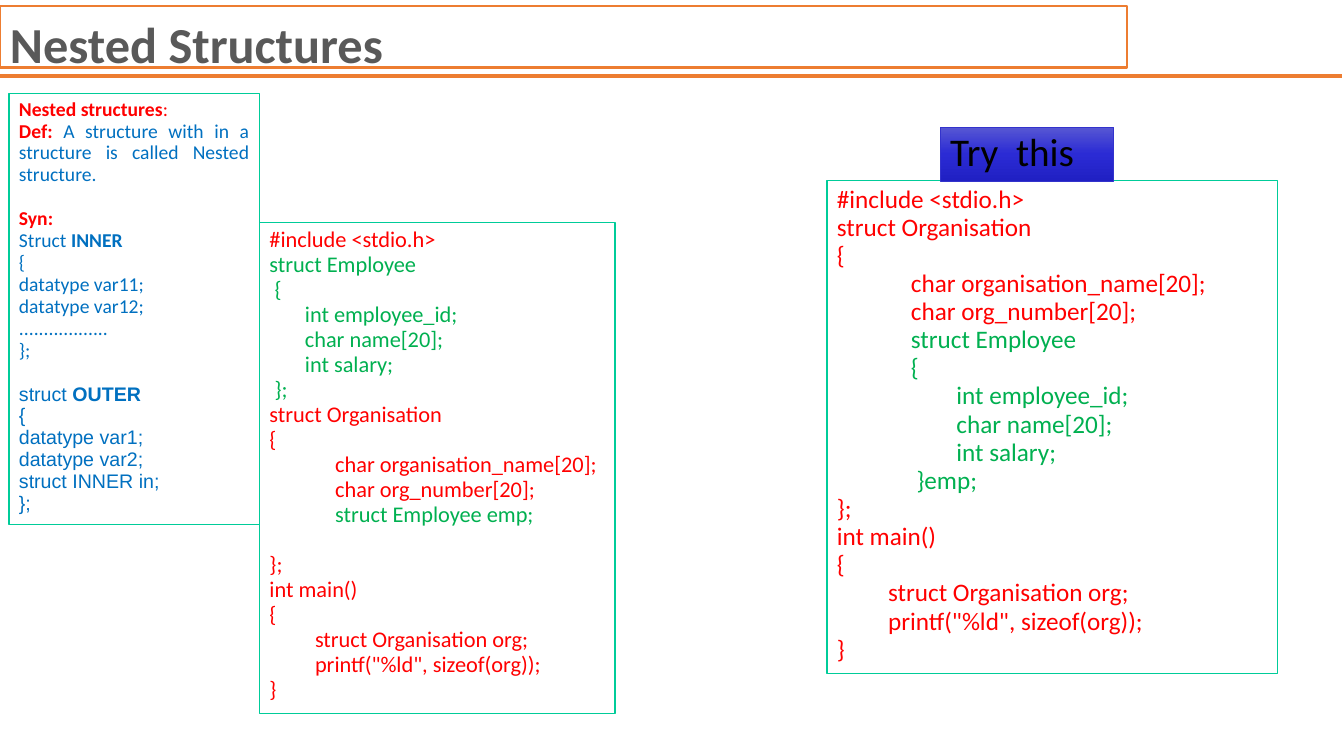
"""Build the Nested Structures slide with its syntax notes and two code panels."""
import copy
from dataclasses import dataclass
from typing import Any

import pptx
import pptx.dml.color
import pptx.enum.shapes
import pptx.enum.text
import pptx.oxml
import pptx.oxml.ns
import pptx.util

Pt = pptx.util.Pt
ALIGN = pptx.enum.text.PP_ALIGN
COLORS = {
    "orange": "ED7D31", "gray": "595959", "teal": "00CC99", "white": "FFFFFF",
    "red": "FF0000", "blue": "0070C0", "green": "00B050", "black": "000000",
    "indigo": "3333CC", "light indigo": "5757D3", "mid indigo": "2B2BD4",
    "deep indigo": "2020C3",
}
SPACE_WIDTH = 0.226
LINE_SPACING = 0.93
LINE_HEIGHT = 1.13


@dataclass(frozen=True)
class Span:
    text: str
    color: str
    bold: bool = False
    font: str = "Calibri"


@dataclass(frozen=True)
class Line:
    spans: tuple[Span, ...]
    columns: int = 0
    blank_before: bool = False


@dataclass(frozen=True)
class Panel:
    left: float
    top: float
    width: float
    height: float
    size: float
    lines: list[Line]
    border: str = "teal"
    border_width: float = 1
    fill: tuple[str, ...] = ("white",)
    align: Any = ALIGN.LEFT
    spacing: float = LINE_SPACING
    inset_top: float = 3.6


def rgb(name: str) -> pptx.dml.color.RGBColor:
    return pptx.dml.color.RGBColor.from_string(COLORS[name])


def apply(target: Any, values: dict[str, Any]) -> None:
    for name, value in values.items():
        setattr(target, name, value)


def code(text: str, color: str, columns: int = 0, blank_before: bool = False) -> Line:
    return Line((Span(text, color),), columns, blank_before)


def block(text: str, color: str, columns: int = 0) -> list[Line]:
    return [code(row, color, columns) for row in text.split("\n")]


def syntax(keyword: str, name: str, body: str, font: str, blank_before: bool) -> list[Line]:
    heading = Line((Span(keyword, "blue", font=font), Span(name, "blue", True, font)),
                   blank_before=blank_before)
    return [heading] + [Line((Span(row, "blue", font=font),)) for row in body.split("\n")]


def fill_shape(shape: Any, names: tuple[str, ...]) -> None:
    fill = shape.fill
    if not names:
        fill.background()
    elif len(names) == 1:
        fill.solid()
        fill.fore_color.rgb = rgb(names[0])
    else:
        fill.gradient()
        fill.gradient_angle = 270
        stops = shape._element.spPr.find(".//" + pptx.oxml.ns.qn("a:gsLst"))
        for _ in names[2:]:
            stops.append(copy.deepcopy(stops[0]))
        for index, (stop, name) in enumerate(zip(fill.gradient_stops, names)):
            stop.position = index / (len(names) - 1)
            stop.color.rgb = rgb(name)


def write_line(paragraph: Any, line: Line, panel: Panel) -> None:
    gap = panel.size * LINE_HEIGHT if line.blank_before else 0
    apply(paragraph, {"alignment": panel.align, "line_spacing": panel.spacing,
                      "space_before": Pt(gap), "space_after": Pt(0)})
    indent = Pt(line.columns * panel.size * SPACE_WIDTH)
    paragraph._p.get_or_add_pPr().set("marL", str(int(indent)))
    for span in line.spans:
        run = paragraph.add_run()
        run.text = span.text
        apply(run.font, {"name": span.font, "size": Pt(panel.size), "bold": span.bold})
        run.font.color.rgb = rgb(span.color)


def draw_panel(slide: Any, panel: Panel) -> None:
    shape = slide.shapes.add_shape(
        pptx.enum.shapes.MSO_SHAPE.RECTANGLE,
        Pt(panel.left), Pt(panel.top), Pt(panel.width), Pt(panel.height))
    shape.shadow.inherit = False
    fill_shape(shape, panel.fill)
    shape.line.color.rgb = rgb(panel.border)
    shape.line.width = Pt(panel.border_width)
    frame = shape.text_frame
    apply(frame, {"word_wrap": True, "vertical_anchor": pptx.enum.text.MSO_ANCHOR.TOP,
                  "margin_left": Pt(7.2), "margin_right": Pt(7.2),
                  "margin_top": Pt(panel.inset_top), "margin_bottom": Pt(3.6)})
    for index, line in enumerate(panel.lines):
        paragraph = frame.add_paragraph() if index else frame.paragraphs[0]
        write_line(paragraph, line, panel)


def draw_rule(slide: Any) -> None:
    rule = slide.shapes.add_connector(
        pptx.enum.shapes.MSO_CONNECTOR.STRAIGHT, Pt(0), Pt(54.4), Pt(959), Pt(54.4))
    rule.line.color.rgb = rgb("orange")
    rule.line.width = Pt(3)
    rule._element.spPr.append(pptx.oxml.parse_xml(
        f"<a:effectLst {pptx.oxml.ns.nsdecls('a')}/>"))


FIELDS = "int employee_id;\nchar name[20];\nint salary;"
NAMES = "char organisation_name[20];\nchar org_number[20];"
MAIN = (block("int main()\n{", "red")
        + block('struct Organisation org;\nprintf("%ld", sizeof(org));', "red", 9)
        + block("}", "red"))
INCLUDE = block("#include <stdio.h>", "red")
ORGANISATION = block("struct Organisation\n{", "red") + block(NAMES, "red", 13)

NOTES = [
    Line((Span("Nested structures", "red", True), Span(":", "red"))),
    Line((Span("Def: ", "red", True),
          Span("A structure with in a structure is called Nested structure.", "blue"))),
    Line((Span("Syn:", "red", True),), blank_before=True),
    *syntax("Struct ", "INNER",
            "{\ndatatype var11;\ndatatype var12;\n..................\n};", "Calibri", False),
    *syntax("struct ", "OUTER",
            "{\ndatatype var1;\ndatatype var2;\nstruct INNER in;\n};", "Arial", True),
]
SEPARATE = [
    *INCLUDE, code("struct Employee", "green"), code("{", "green", 1),
    *block(FIELDS, "green", 7), code("};", "green", 1), *ORGANISATION,
    code("struct Employee emp;", "green", 13),
    code("};", "red", blank_before=True), *MAIN,
]
EMBEDDED = [
    *INCLUDE, *ORGANISATION, *block("struct Employee\n{", "green", 13),
    *block(FIELDS, "green", 21), code("}emp;", "green", 14), code("};", "red"), *MAIN,
]
PANELS = [
    Panel(0, 4.3, 805.7, 44, 36, [Line((Span("Nested Structures", "gray", True),))],
          "orange", 1.5, (), spacing=1.0, inset_top=5),
    Panel(6.5, 67, 178.8, 307.5, 14, NOTES, align=ALIGN.JUSTIFY),
    Panel(185.5, 159, 254, 350.8, 16, SEPARATE),
    Panel(591, 129, 322, 352, 18, EMBEDDED),
    Panel(672, 90.7, 123.8, 38.9, 28, block("Try\u00a0 this", "black"), "indigo", 0.5,
          ("light indigo", "mid indigo", "deep indigo")),
]


def main() -> None:
    presentation = pptx.Presentation()
    apply(presentation, {"slide_width": Pt(960.5), "slide_height": Pt(540)})
    slide = presentation.slides.add_slide(presentation.slide_layouts[6])
    draw_rule(slide)
    for panel in PANELS:
        draw_panel(slide, panel)
    presentation.save("out.pptx")


main()
